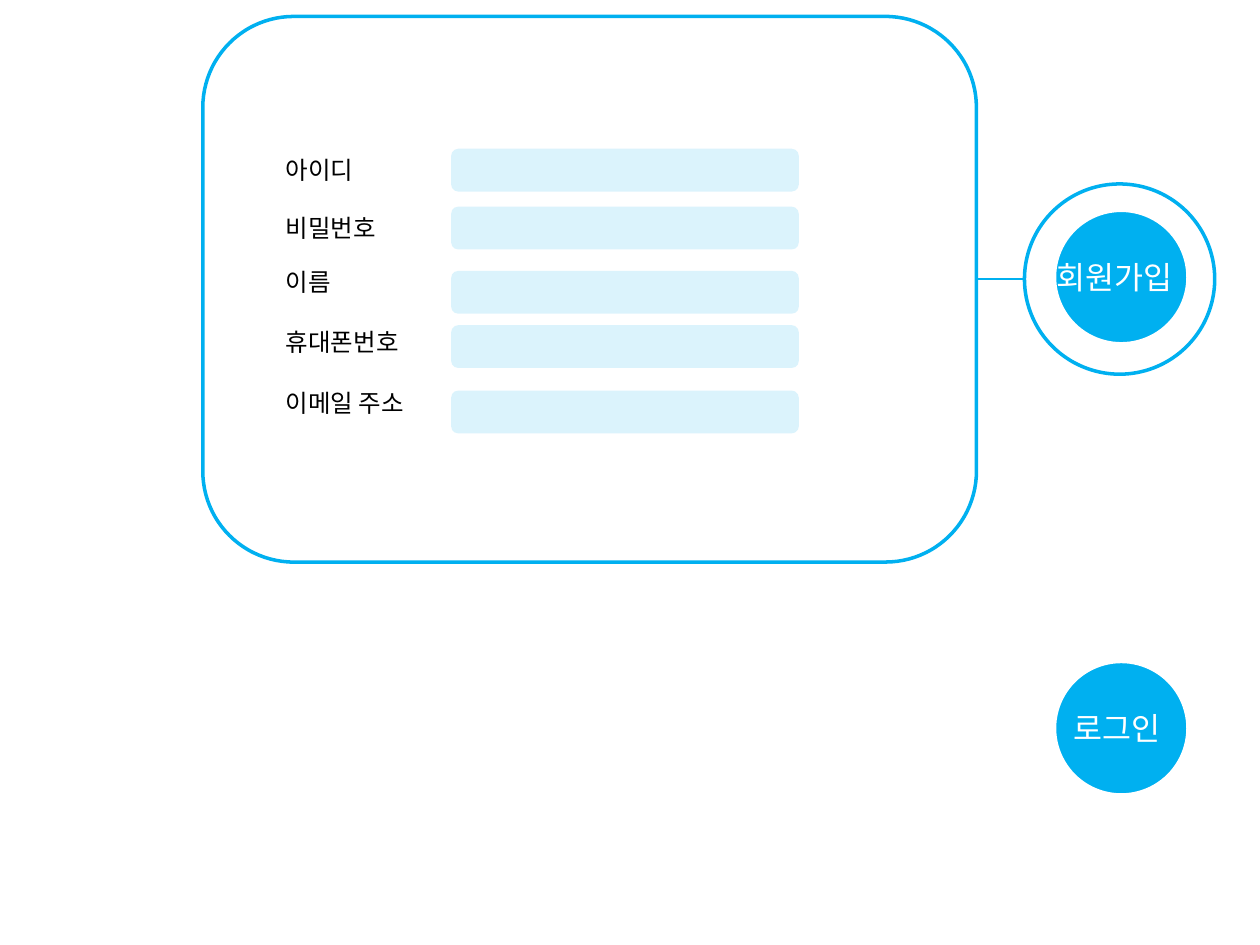
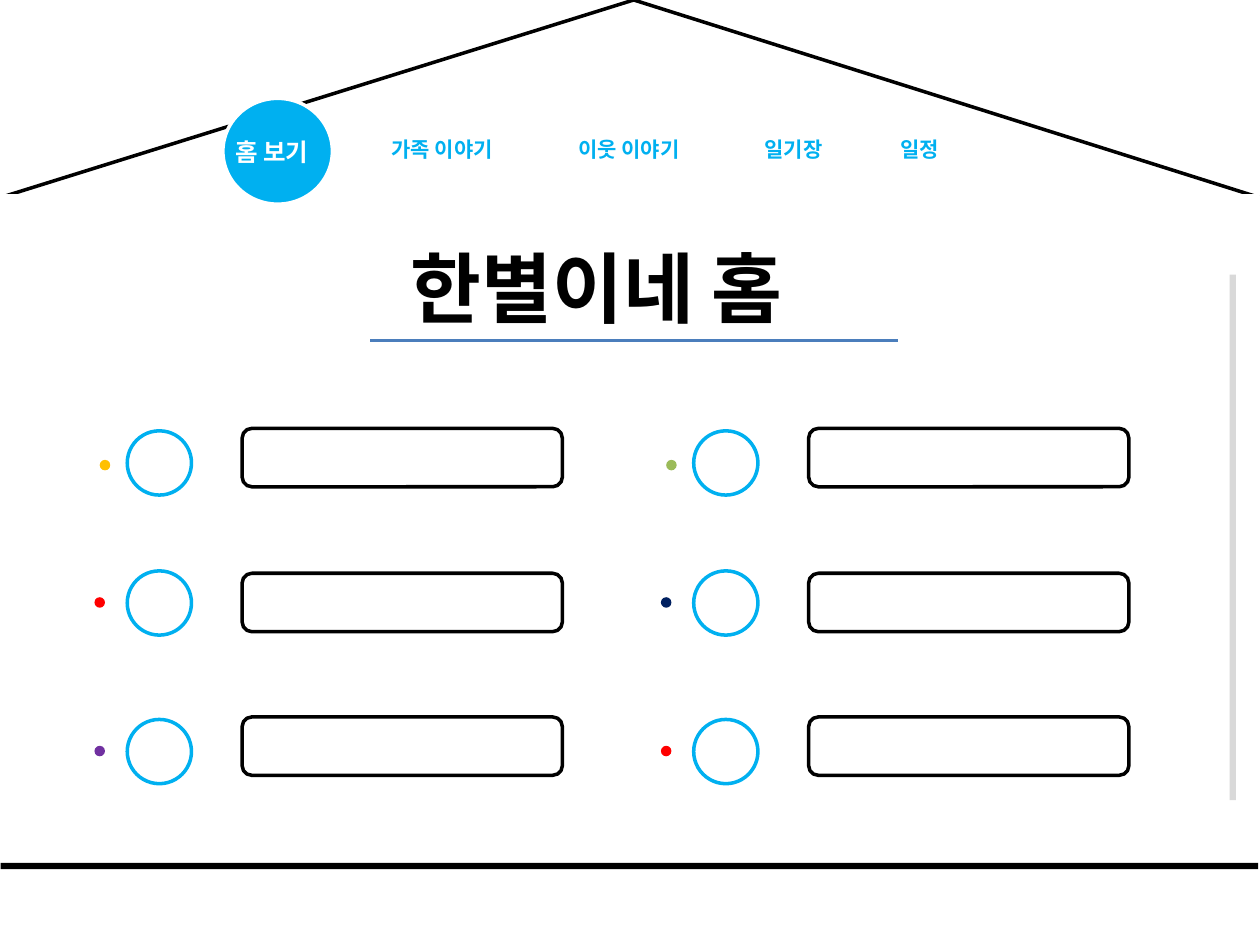
from lxml import etree
from pptx import Presentation
from pptx.dml.color import RGBColor
from pptx.enum.shapes import MSO_CONNECTOR, MSO_SHAPE
from pptx.enum.text import MSO_AUTO_SIZE
from pptx.oxml.ns import qn
from pptx.util import Pt

ELLIPSE = MSO_SHAPE.OVAL
ROUNDED = MSO_SHAPE.ROUNDED_RECTANGLE
RECTANGLE = MSO_SHAPE.RECTANGLE
TRIANGLE = MSO_SHAPE.ISOSCELES_TRIANGLE
STRAIGHT = MSO_CONNECTOR.STRAIGHT
FIT_TEXT = MSO_AUTO_SIZE.SHAPE_TO_FIT_TEXT

FONT = "Noto Sans CJK KR"
COLORS = {
    "sky": "00B0F0",
    "white": "FFFFFF",
    "black": "000000",
    "underline": "4B7EBC",
    "scrollbar": "D9D9D9",
    "amber": "FFC000",
    "red": "FF0000",
    "purple": "7030A0",
    "green": "9BBB59",
    "navy": "002060",
}

SIGN_UP_FIELDS = [
    ("아이디", 85, 85),
    ("비밀번호", 118.1, 118.1),
    ("이름", 149, 154.8),
    ("휴대폰번호", 183.6, 185.8),
    ("이메일 주소", 218.2, 223.2),
]
BUTTONS = [("회원가입", 120.2, 596.9, 87.1), ("로그인", 378, 606.2, 69.1)]

HOME_TITLE = "한별이네 홈"
ACTIVE_TAB = "홈 보기"
TABS = [
    ("가족 이야기", 216.7, 79.2),
    ("이웃 이야기", 323.3, 79.2),
    ("일기장", 429.8, 51.1),
    ("일정", 507.6, 38.9),
]
MEMBER_COLUMNS = [0, 323.7]
MEMBER_ROWS = [
    {"circle": 246.2, "box": 244.8, "dot": (57, 262.8), "colors": ("amber", "green")},
    {"circle": 326.2, "box": 327.6, "dot": (54, 341.3), "colors": ("red", "navy")},
    {"circle": 411.1, "box": 409.7, "dot": (54, 426.2), "colors": ("purple", "red")},
]


def color(name):
    return RGBColor.from_string(COLORS[name])


def add_block(slide, kind, left, top, width, height, fill=None, line=None, opacity=None):
    shape = slide.shapes.add_shape(kind, Pt(left), Pt(top), Pt(width), Pt(height))
    shape.shadow.inherit = False
    if fill:
        shape.fill.solid()
        shape.fill.fore_color.rgb = color(fill)
        if opacity:
            fill_color = shape.fill._xPr.find(qn("a:solidFill"))[0]
            etree.SubElement(fill_color, qn("a:alpha"), val=str(opacity * 1000))
    else:
        shape.fill.background()
    if line:
        shape.line.color.rgb = color(line)
        shape.line.width = Pt(2)
    else:
        shape.line.fill.background()
    return shape


def add_text(slide, text, left, top, width, height, size=14, fill="black", bold=False, wrap=True):
    box = slide.shapes.add_textbox(Pt(left), Pt(top), Pt(width), Pt(height))
    frame = box.text_frame
    frame.word_wrap = wrap
    frame.auto_size = FIT_TEXT
    run = frame.paragraphs[0].add_run()
    run.text = text
    run.font.size = Pt(size)
    run.font.bold = bold
    run.font.color.rgb = color(fill)
    run.font.name = FONT
    etree.SubElement(run.font._element, qn("a:ea"), typeface=FONT)


def add_line(slide, start, end, y, line):
    connector = slide.shapes.add_connector(STRAIGHT, Pt(start), Pt(y), Pt(end), Pt(y))
    connector.line.color.rgb = color(line)
    connector.line.width = Pt(1.5)
    etree.SubElement(connector._element.spPr, qn("a:effectLst"))


def build_sign_up(slide):
    panel_left, ring_left, ring_top, ring_size = 115.9, 585.4, 105.1, 108.7
    add_line(slide, ring_left, panel_left, ring_top + ring_size / 2, "sky")
    add_block(slide, ROUNDED, panel_left, 9.4, 442.1, 311.8, fill="white", line="sky")
    for label, label_top, field_top in SIGN_UP_FIELDS:
        add_text(slide, label, 156.2, label_top, 102.2, 24.2)
        add_block(slide, ROUNDED, 257.8, field_top, 198.7, 24.5, fill="sky", opacity=14)
    for label, top, text_left, text_width in BUTTONS:
        add_block(slide, ELLIPSE, 602.6, top, 76.3, 76.3, fill="sky", line="white")
        add_text(slide, label, text_left, top + 23.5, text_width, 29.1,
                 size=18, fill="white", wrap=False)
    add_block(slide, ELLIPSE, ring_left, ring_top, ring_size, ring_size, line="sky")


def build_home(slide):
    roof = add_block(slide, TRIANGLE, 0, 0, 720, 113, line="black")
    roof.adjustments[0] = 0.503
    add_block(slide, RECTANGLE, 0, 111.6, 719.3, 3.6, fill="white", line="white")

    add_block(slide, ELLIPSE, 127.4, 56.2, 62.6, 60.5, fill="sky", line="white")
    add_text(slide, ACTIVE_TAB, 127.4, 74.9, 61.9, 24.2, fill="white", bold=True, wrap=False)
    for label, left, width in TABS:
        add_text(slide, label, left, 74.2, width, 21.8, size=12, fill="sky", bold=True, wrap=False)

    add_text(slide, HOME_TITLE, 227.5, 133.9, 265, 60.6, size=44, bold=True)
    add_line(slide, 211.7, 513.4, 194.4, "underline")

    for row in MEMBER_ROWS:
        dot_left, dot_top = row["dot"]
        for offset, dot_color in zip(MEMBER_COLUMNS, row["colors"]):
            add_block(slide, ELLIPSE, 72.7 + offset, row["circle"], 36.7, 36.7,
                      fill="white", line="sky")
            add_block(slide, ELLIPSE, dot_left + offset, dot_top, 6, 6, fill=dot_color)
            add_block(slide, ROUNDED, 138.4 + offset, row["box"], 183, 33.4, line="black")

    add_block(slide, RECTANGLE, 702.7, 157, 3.6, 300.2, fill="scrollbar")
    add_block(slide, RECTANGLE, 0.3, 493, 718.6, 3.6, fill="black")


def main():
    presentation = Presentation()
    presentation.slide_width = Pt(720)
    presentation.slide_height = Pt(540)
    blank = presentation.slide_layouts[6]
    for build in (build_sign_up, build_home):
        build(presentation.slides.add_slide(blank))
    presentation.save("out.pptx")


if __name__ == "__main__":
    main()
